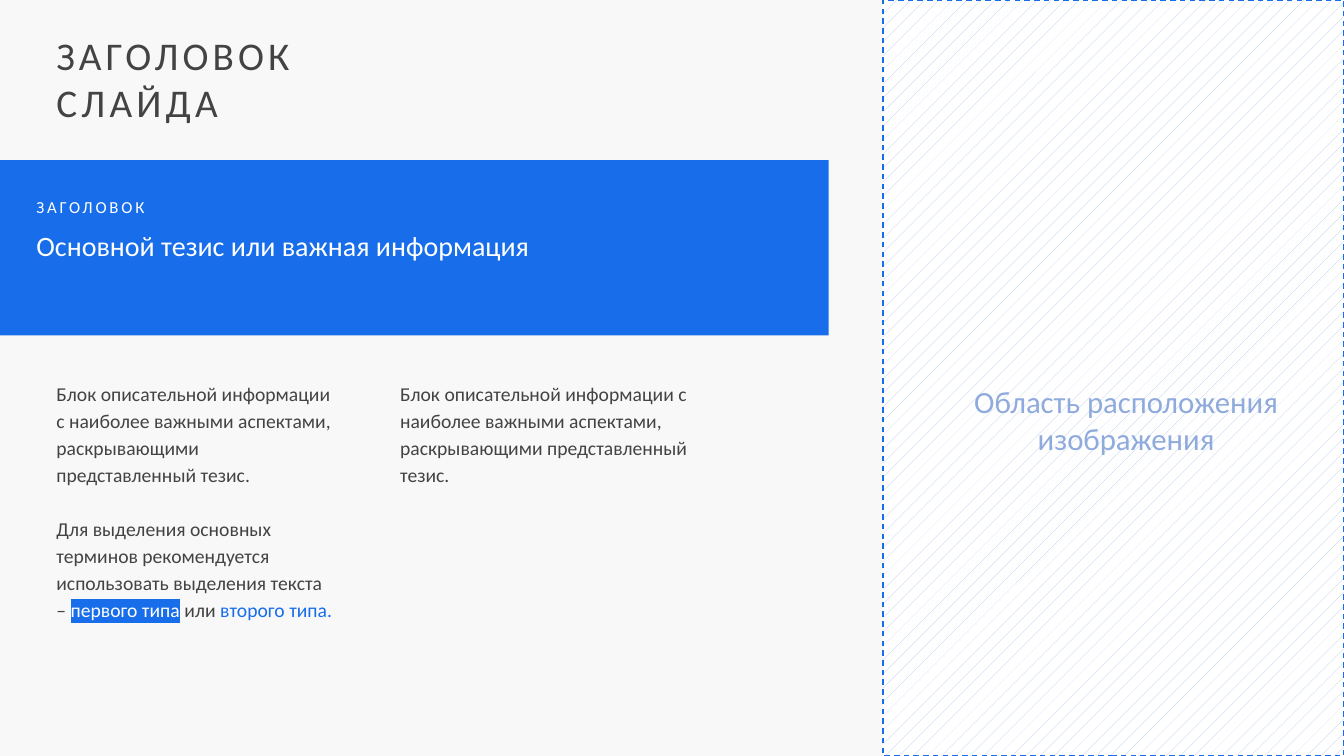
from lxml import etree
from pptx import Presentation
from pptx import util as u
from pptx.dml.color import RGBColor
from pptx.enum import dml, shapes, text
from pptx.oxml.ns import qn

BLUE, DARK, WHITE = "176DEA", "434343", "FFFFFF"
BODY = ("Блок описательной информации с наиболее важными аспектами, "
        "раскрывающими представленный тезис.")


def rgb(value):
    return RGBColor.from_string(value)


class Deck:
    font = "Calibri"

    def __init__(self, width, height, background):
        self.prs = Presentation()
        self.prs.slide_width, self.prs.slide_height = u.Pt(width), u.Pt(height)
        self.s = self.prs.slides.add_slide(self.prs.slide_layouts[5])
        self.s.background.fill.solid()
        self.s.background.fill.fore_color.rgb = rgb(background)

    def frame(self, sp, inset=(0, 0), anchor=text.MSO_ANCHOR.TOP):
        tf = sp.text_frame
        tf.word_wrap = True
        tf.auto_size = text.MSO_AUTO_SIZE.NONE
        tf.vertical_anchor = anchor
        tf.margin_left = tf.margin_right = u.Pt(inset[0])
        tf.margin_top = tf.margin_bottom = u.Pt(inset[1])
        return tf

    def paragraph(self, tf, runs, size, color, first=True, before=0,
                  spacing=1.15, tracking=0, align=text.PP_ALIGN.LEFT):
        p = tf.paragraphs[0] if first else tf.add_paragraph()
        p.line_spacing, p.alignment = spacing, align
        p.space_before = u.Pt(before)
        for i, (words, run_color, highlight) in enumerate(runs):
            if words == "\n":
                p.add_line_break()
                continue
            r = p.add_run()
            r.text = words
            r.font.size = u.Pt(size)
            r.font.color.rgb = rgb(run_color or color)
            r.font.name = self.font
            rpr = r.font._element
            if tracking:
                rpr.set("spc", str(tracking * 100))
            if highlight:
                mark = etree.Element(qn("a:highlight"))
                etree.SubElement(mark, qn("a:srgbClr"), val=highlight)
                rpr.find(qn("a:solidFill")).addnext(mark)

    def title(self, lines, box, size, color, tracking):
        sp = self.s.shapes.title
        sp.left, sp.top, sp.width, sp.height = map(u.Pt, box)
        runs = [(lines[0], None, None)]
        for line in lines[1:]:
            runs += [("\n", None, None), (line, None, None)]
        self.paragraph(self.frame(sp), runs, size, color,
                       spacing=1.0, tracking=tracking)

    def textbox(self, box, **style):
        return self.frame(self.s.shapes.add_textbox(*map(u.Pt, box)), **style)

    def rect(self, box, fill):
        sp = self.s.shapes.add_shape(shapes.MSO_SHAPE.RECTANGLE, *map(u.Pt, box))
        sp.shadow.inherit = False
        sp.fill.solid()
        sp.fill.fore_color.rgb = rgb(fill)
        sp.line.fill.background()
        return sp

    def image_area(self, box, dots, back, outline):
        sp = self.rect(box, back)
        sp.fill.patterned()
        sp.fill.pattern = dml.MSO_PATTERN.PERCENT_5
        sp.fill.fore_color.rgb = rgb(dots)
        sp.fill.back_color.rgb = rgb(back)
        sp.line.color.rgb = rgb(outline)
        sp.line.width = u.Pt(1)
        sp.line.dash_style = dml.MSO_LINE.DASH


def main():
    d = Deck(960, 540, "F8F8F8")
    d.title(["ЗАГОЛОВОК", "СЛАЙДА"], (40.3, 22.3, 393, 68), 28, DARK, 3)

    d.rect((0, 114.4, 592, 125.2), BLUE)
    tf = d.textbox((26, 138.2, 381, 78))
    d.paragraph(tf, [("ЗАГОЛОВОК", None, None)], 12, WHITE, tracking=2)
    d.paragraph(tf, [("Основной тезис или важная информация", None, None)],
                20, WHITE, first=False, before=5)

    left = d.textbox((40.3, 270, 200, 214.5))
    right = d.textbox((285.8, 270, 212.4, 97))
    for tf in (left, right):
        d.paragraph(tf, [(BODY, None, None)], 14, DARK)
    d.paragraph(left, [
        ("Для выделения основных терминов рекомендуется использовать "
         "выделения текста – ", None, None),
        ("первого типа", WHITE, BLUE),
        (" или ", None, None),
        ("второго типа.", BLUE, None),
    ], 14, DARK, first=False, before=19.3)

    d.image_area((630.7, 0, 329.3, 540), "B4C7E7", WHITE, BLUE)
    tf = d.textbox((682.6, 219, 243.4, 161.3), inset=(7.2, 3.6),
                   anchor=text.MSO_ANCHOR.MIDDLE)
    d.paragraph(tf, [("Область расположения изображения", None, None)], 22,
                "8FAADC", spacing=1.0, align=text.PP_ALIGN.CENTER)

    d.prs.save("out.pptx")


if __name__ == "__main__":
    main()
